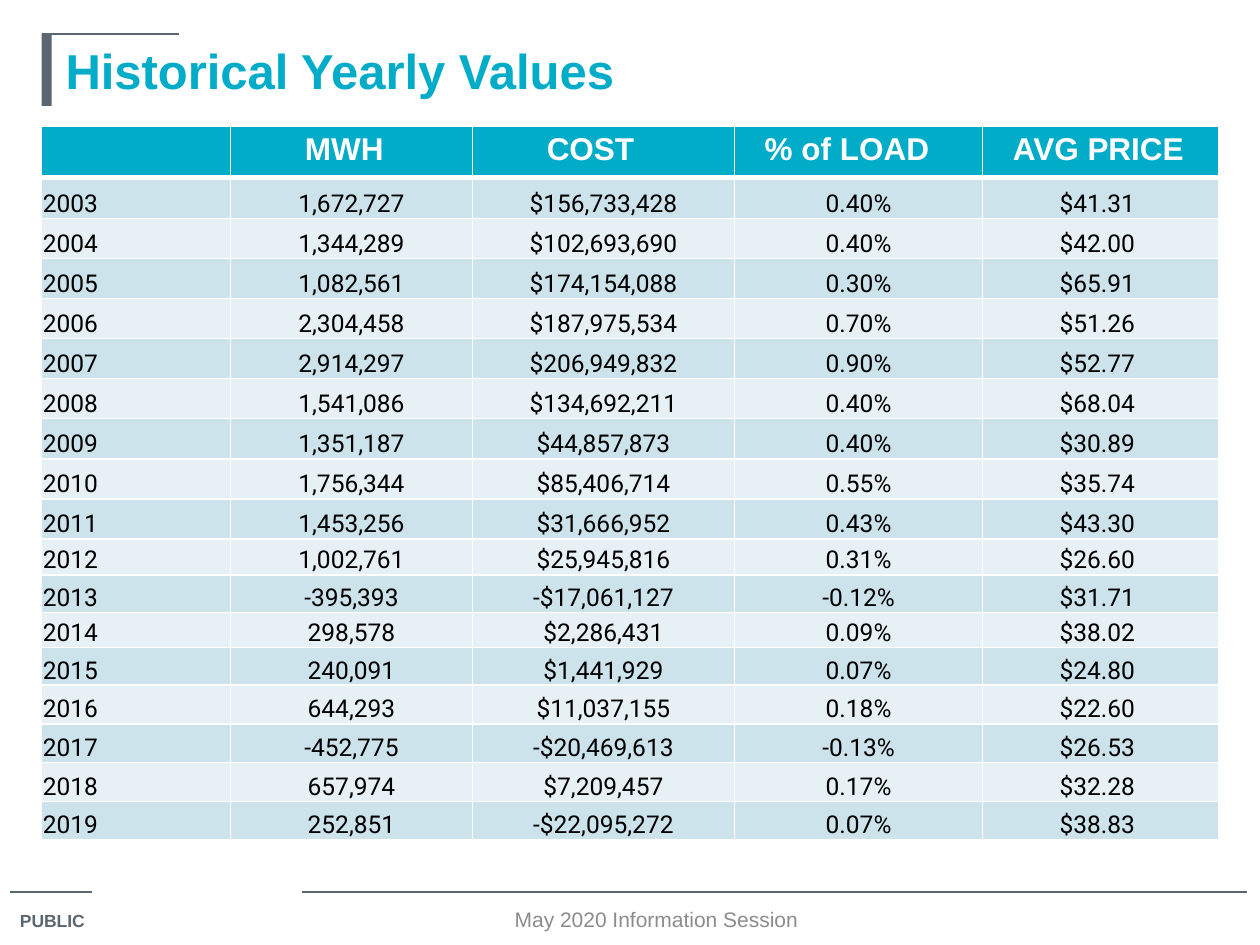
from dataclasses import dataclass
from typing import NamedTuple

from lxml.etree import SubElement
from pptx import Presentation
from pptx.dml.color import RGBColor
from pptx.enum.shapes import MSO_CONNECTOR, MSO_SHAPE
from pptx.enum.text import MSO_ANCHOR, PP_ALIGN
from pptx.oxml.ns import qn
from pptx.util import Inches, Pt


@dataclass(frozen=True)
class Theme:
    accent: str = "00ACC8"
    slate: str = "5B6770"
    footer: str = "8C8C8C"
    white: str = "FFFFFF"
    black: str = "000000"
    bands: tuple = ("CCE3EB", "E7F1F5")
    heading_font: str = "Arial"
    body_font: str = "Roboto"
    title_size: int = 28
    header_size: int = 18
    body_size: int = 14
    footer_size: int = 12
    label_size: int = 10


class Column(NamedTuple):
    heading: str
    width: float
    heading_indent: float = 0.1
    align: PP_ALIGN = PP_ALIGN.CENTER
    right_margin: float = 0.01


class Rule(NamedTuple):
    left: float
    right: float
    top: float


THEME = Theme()
RULES = [Rule(0.08, 0.73, 7.08), Rule(2.4, 9.9, 7.08), Rule(0.33, 1.42, 0.27)]
COLUMNS = [
    Column("", 1.5, align=PP_ALIGN.LEFT),
    Column("MWH", 1.92, 0.59),
    Column("COST", 2.08, 0.59),
    Column("% of LOAD", 1.97, 0.24),
    Column("AVG PRICE", 1.87, 0.24, right_margin=0.06),
]
YEARS = [
    ("2003", "1,672,727", "$156,733,428", "0.40%", "$41.31"),
    ("2004", "1,344,289", "$102,693,690", "0.40%", "$42.00"),
    ("2005", "1,082,561", "$174,154,088", "0.30%", "$65.91"),
    ("2006", "2,304,458", "$187,975,534", "0.70%", "$51.26"),
    ("2007", "2,914,297", "$206,949,832", "0.90%", "$52.77"),
    ("2008", "1,541,086", "$134,692,211", "0.40%", "$68.04"),
    ("2009", "1,351,187", "$44,857,873", "0.40%", "$30.89"),
    ("2010", "1,756,344", "$85,406,714", "0.55%", "$35.74"),
    ("2011", "1,453,256", "$31,666,952", "0.43%", "$43.30"),
    ("2012", "1,002,761", "$25,945,816", "0.31%", "$26.60"),
    ("2013", "-395,393", "-$17,061,127", "-0.12%", "$31.71"),
    ("2014", "298,578", "$2,286,431", "0.09%", "$38.02"),
    ("2015", "240,091", "$1,441,929", "0.07%", "$24.80"),
    ("2016", "644,293", "$11,037,155", "0.18%", "$22.60"),
    ("2017", "-452,775", "-$20,469,613", "-0.13%", "$26.53"),
    ("2018", "657,974", "$7,209,457", "0.17%", "$32.28"),
    ("2019", "252,851", "-$22,095,272", "0.07%", "$38.83"),
]
TABLE_HEIGHT = 5.67
ROW_SHARES = [0.41, 0.33] + [0.32] * 8 + [0.29, 0.3, 0.28, 0.3] + [0.31] * 4


def write(frame, text: str, *, size: int, color: str, font: str = THEME.heading_font,
          bold: bool = False, align: PP_ALIGN = PP_ALIGN.LEFT) -> None:
    para = frame.paragraphs[0]
    para.alignment = align
    span = para.add_run()
    span.text = text
    span.font.name = font
    span.font.size = Pt(size)
    span.font.bold = bold
    span.font.color.rgb = RGBColor.from_string(color)


def draw_rule(page, rule: Rule) -> None:
    line = page.shapes.add_connector(
        MSO_CONNECTOR.STRAIGHT, Inches(rule.left), Inches(rule.top),
        Inches(rule.right), Inches(rule.top))
    line.line.color.rgb = RGBColor.from_string(THEME.slate)
    line.line.width = Pt(0.75)
    SubElement(line._element.spPr, qn("a:effectLst"))


def draw_title(page) -> None:
    bar = page.shapes.add_shape(
        MSO_SHAPE.RECTANGLE, Inches(0.33), Inches(0.27), Inches(0.08), Inches(0.57))
    bar.shadow.inherit = False
    bar.fill.solid()
    bar.fill.fore_color.rgb = RGBColor.from_string(THEME.slate)
    bar.line.fill.background()

    title = page.shapes.title
    title.left, title.top = Inches(0.42), Inches(0.27)
    title.width, title.height = Inches(9.25), Inches(0.57)
    title.text_frame.vertical_anchor = MSO_ANCHOR.MIDDLE
    write(title.text_frame, "Historical Yearly Values",
          size=THEME.title_size, color=THEME.accent, bold=True)


def draw_borders(cell, *, top: float = 1, bottom: float = 1) -> None:
    """Add white borders, widths in points; call before filling the cell."""
    properties = cell._tc.get_or_add_tcPr()
    for side, width in (("L", 1), ("R", 1), ("T", top), ("B", bottom)):
        border = SubElement(properties, qn(f"a:ln{side}"), w=str(Pt(width)))
        fill = SubElement(border, qn("a:solidFill"))
        SubElement(fill, qn("a:srgbClr"), val=THEME.white)


def fill_cell(cell, color: str) -> None:
    cell.fill.solid()
    cell.fill.fore_color.rgb = RGBColor.from_string(color)


def draw_header_cell(cell, column: Column) -> None:
    draw_borders(cell, bottom=3)
    fill_cell(cell, THEME.accent)
    cell.margin_left = Inches(column.heading_indent)
    if column.heading:
        write(cell.text_frame, column.heading,
              size=THEME.header_size, color=THEME.white, bold=True)


def draw_value_cell(cell, text: str, column: Column, index: int) -> None:
    draw_borders(cell, top=3 if index == 0 else 1)
    fill_cell(cell, THEME.bands[index % 2])
    cell.vertical_anchor = MSO_ANCHOR.BOTTOM
    cell.margin_left = cell.margin_top = Inches(0.01)
    cell.margin_right = Inches(column.right_margin)
    cell.margin_bottom = 0
    write(cell.text_frame, text, size=THEME.body_size, color=THEME.black,
          font=THEME.body_font, align=column.align)


def draw_table(page) -> None:
    width = sum(column.width for column in COLUMNS)
    table = page.shapes.add_table(
        len(YEARS) + 1, len(COLUMNS), Inches(0.33), Inches(1),
        Inches(width), Inches(TABLE_HEIGHT)).table
    for row, share in zip(table.rows, ROW_SHARES):
        row.height = Inches(TABLE_HEIGHT * share / sum(ROW_SHARES))
    for number, column in enumerate(COLUMNS):
        table.columns[number].width = Inches(column.width)
        draw_header_cell(table.cell(0, number), column)
        for index, values in enumerate(YEARS):
            draw_value_cell(table.cell(index + 1, number), values[number], column, index)


def draw_footer(page) -> None:
    label = page.shapes.add_textbox(Inches(0.06), Inches(7.17), Inches(0.77), Inches(0.28))
    write(label.text_frame, "PUBLIC", size=THEME.label_size, color=THEME.slate, bold=True)

    session = page.shapes.add_textbox(Inches(3), Inches(7.17), Inches(4.42), Inches(0.25))
    session.text_frame.word_wrap = True
    session.text_frame.vertical_anchor = MSO_ANCHOR.MIDDLE
    write(session.text_frame, "May 2020 Information Session",
          size=THEME.footer_size, color=THEME.footer, align=PP_ALIGN.CENTER)


def main() -> None:
    deck = Presentation()
    deck.slide_width, deck.slide_height = Inches(10), Inches(7.5)
    page = deck.slides.add_slide(deck.slide_layouts.get_by_name("Title Only"))
    for rule in RULES:
        draw_rule(page, rule)
    draw_title(page)
    draw_table(page)
    draw_footer(page)
    deck.save("out.pptx")


if __name__ == "__main__":
    main()
